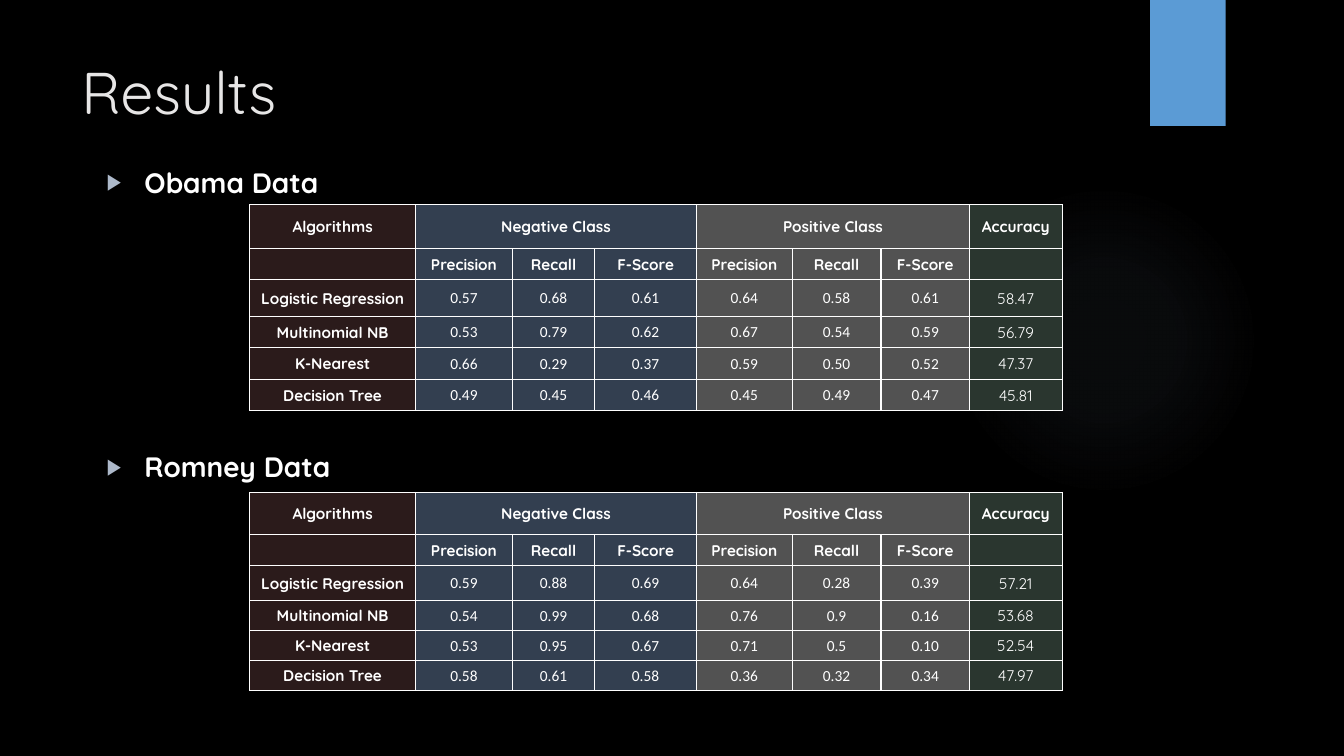
from lxml import etree
from pptx import Presentation
from pptx.dml.color import RGBColor
from pptx.enum import shapes, text
from pptx.oxml import parse_xml
from pptx.oxml.ns import nsdecls, qn
from pptx.util import Pt

BLACK = RGBColor(0x00, 0x00, 0x00)
WHITE = RGBColor(0xFF, 0xFF, 0xFF)
TITLE_GREY = RGBColor(0xE7, 0xE6, 0xE6)
BULLET_BLUE = RGBColor(0xAD, 0xB9, 0xCA)
GLOW = RGBColor(0x84, 0x97, 0xB0)
BAR_BLUE = RGBColor(0x5B, 0x9B, 0xD5)
BROWN = RGBColor(0x2B, 0x1B, 0x1B)
NAVY = RGBColor(0x33, 0x3F, 0x50)
GREY = RGBColor(0x52, 0x52, 0x52)
GREEN = RGBColor(0x2A, 0x36, 0x2F)

FONT, NUMBER_FONT = "Quicksand", "Calibri"
COLUMN_FILLS = [BROWN] + [NAVY] * 3 + [GREY] * 3 + [GREEN]
COLUMN_WIDTHS = [118.3, 69.3, 58.7, 72.9, 68.2, 63.5, 63.2, 66.2]
MEASURES = ["Precision", "Recall", "F-Score"]
HEADER = [
    ["Algorithms", "Negative Class", "", "", "Positive Class", "", "", "Accuracy"],
    ["", *MEASURES, *MEASURES, ""],
]
OBAMA = [
    ["Logistic Regression", "0.57", "0.68", "0.61", "0.64", "0.58", "0.61", "58.47"],
    ["Multinomial NB", "0.53", "0.79", "0.62", "0.67", "0.54", "0.59", "56.79"],
    ["K-Nearest", "0.66", "0.29", "0.37", "0.59", "0.50", "0.52", "47.37"],
    ["Decision Tree", "0.49", "0.45", "0.46", "0.45", "0.49", "0.47", "45.81"],
]
ROMNEY = [
    ["Logistic Regression", "0.59", "0.88", "0.69", "0.64", "0.28", "0.39", "57.21"],
    ["Multinomial NB", "0.54", "0.99", "0.68", "0.76", "0.9", "0.16", "53.68"],
    ["K-Nearest", "0.53", "0.95", "0.67", "0.71", "0.5", "0.10", "52.54"],
    ["Decision Tree", "0.58", "0.61", "0.58", "0.36", "0.32", "0.34", "47.97"],
]


def place(sp, left, top, width, height):
    sp.left, sp.top, sp.width, sp.height = Pt(left), Pt(top), Pt(width), Pt(height)


def style(p, size, color, bold=False, name=FONT):
    p.font.size, p.font.bold, p.font.name = Pt(size), bold, name
    p.font.color.rgb = color


def add_plain_shape(slide, kind, left, top, width, height, color):
    sp = slide.shapes.add_shape(kind, Pt(left), Pt(top), Pt(width), Pt(height))
    sp.shadow.inherit = False
    sp.fill.solid()
    sp.fill.fore_color.rgb = color
    sp.line.fill.background()
    return sp


def fade_out(sp, color, stops):
    """Replace the solid fill by a radial one; stops are (position, opacity) in percent."""
    gs = "".join(
        f'<a:gs pos="{pos * 1000}"><a:srgbClr val="{color}">'
        f'<a:alpha val="{alpha * 1000}"/></a:srgbClr></a:gs>'
        for pos, alpha in stops
    )
    gradient = parse_xml(
        f'<a:gradFill {nsdecls("a")}><a:gsLst>{gs}</a:gsLst><a:path path="circle">'
        '<a:fillToRect l="50000" t="50000" r="50000" b="50000"/></a:path></a:gradFill>'
    )
    spPr = sp._element.spPr
    spPr.replace(spPr.find(qn("a:solidFill")), gradient)


def set_title(sp, caption):
    place(sp, 51, 36, 741, 110)
    tf = sp.text_frame
    tf.text = caption
    tf.auto_size = text.MSO_AUTO_SIZE.NONE
    tf.vertical_anchor = text.MSO_ANCHOR.TOP
    p = tf.paragraphs[0]
    p.alignment = text.PP_ALIGN.LEFT
    style(p, 42, TITLE_GREY)


def add_bullet(p):
    pPr = p._p.get_or_add_pPr()
    pPr.set("marL", str(Pt(27)))
    pPr.set("indent", str(-Pt(27)))
    bullet = [
        f'<a:buClr {nsdecls("a")}><a:srgbClr val="{BULLET_BLUE}"/></a:buClr>',
        f'<a:buSzPct {nsdecls("a")} val="80000"/>',
        f'<a:buChar {nsdecls("a")} char="▶"/>',
    ]
    defaults = pPr.find(qn("a:defRPr"))
    for xml in bullet:
        defaults.addprevious(parse_xml(xml))


def set_headings(sp, headings, gap):
    """Fill the list with headings, leaving a gap for a table between them."""
    place(sp, 69, 114.5, 704, 330)
    tf = sp.text_frame
    tf.text = "\n".join(headings)
    tf.auto_size = text.MSO_AUTO_SIZE.NONE
    for i, p in enumerate(tf.paragraphs):
        p.space_before = Pt(gap if i else 0)
        style(p, 20, WHITE, bold=True)
        add_bullet(p)


def add_borders(cell, color):
    tcPr = cell._tc.get_or_add_tcPr()
    for side in ("lnL", "lnR", "lnT", "lnB"):
        ln = etree.SubElement(tcPr, qn(f"a:{side}"), w=str(Pt(1)))
        fill = etree.SubElement(ln, qn("a:solidFill"))
        etree.SubElement(fill, qn("a:srgbClr"), val=str(color))


def format_cell(cell, value, fill, bold, name):
    cell.text = value
    cell.vertical_anchor = text.MSO_ANCHOR.MIDDLE
    cell.margin_left = cell.margin_right = cell.margin_top = Pt(0.7)
    cell.margin_bottom = 0
    p = cell.text_frame.paragraphs[0]
    p.alignment = text.PP_ALIGN.CENTER
    style(p, 11, WHITE, bold, name)
    add_borders(cell, WHITE)
    cell.fill.solid()
    cell.fill.fore_color.rgb = fill


def add_results_table(slide, top, row_heights, results):
    rows = HEADER + results
    frame = slide.shapes.add_table(
        len(rows), len(COLUMN_WIDTHS), Pt(178.5), Pt(top),
        Pt(sum(COLUMN_WIDTHS)), Pt(sum(row_heights)))
    table = frame.table
    table.first_row = table.horz_banding = False
    for column, width in zip(table.columns, COLUMN_WIDTHS):
        column.width = Pt(width)
    for row, height in zip(table.rows, row_heights):
        row.height = Pt(height)
    for r, values in enumerate(rows):
        for c, value in enumerate(values):
            is_label = r < len(HEADER) or c == 0
            is_accuracy = c == len(values) - 1
            name = FONT if is_label or is_accuracy else NUMBER_FONT
            format_cell(table.cell(r, c), value, COLUMN_FILLS[c], is_label, name)
    for first in (1, 4):
        table.cell(0, first).merge(table.cell(0, first + 2))


def main():
    prs = Presentation()
    prs.slide_width, prs.slide_height = Pt(960), Pt(540)
    slide = prs.slides.add_slide(prs.slide_layouts[1])
    slide.background.fill.solid()
    slide.background.fill.fore_color.rgb = BLACK

    kinds = shapes.MSO_SHAPE
    glow = add_plain_shape(slide, kinds.OVAL, 677.5, 132, 222, 222, GLOW)
    fade_out(glow, GLOW, [(0, 7), (36, 6), (69, 0)])
    add_plain_shape(slide, kinds.RECTANGLE, 821.5, 0, 54, 90, BAR_BLUE)

    set_title(slide.shapes.title, "Results")
    set_headings(slide.placeholders[1], ["Obama Data", "Romney Data"], gap=179.3)
    add_results_table(slide, 146.2, [31.5, 22.1, 26.1] + [22.5] * 3, OBAMA)
    add_results_table(slide, 351.8, [30.1, 21.9, 25.2] + [21.4] * 3, ROMNEY)
    prs.save("out.pptx")


if __name__ == "__main__":
    main()
